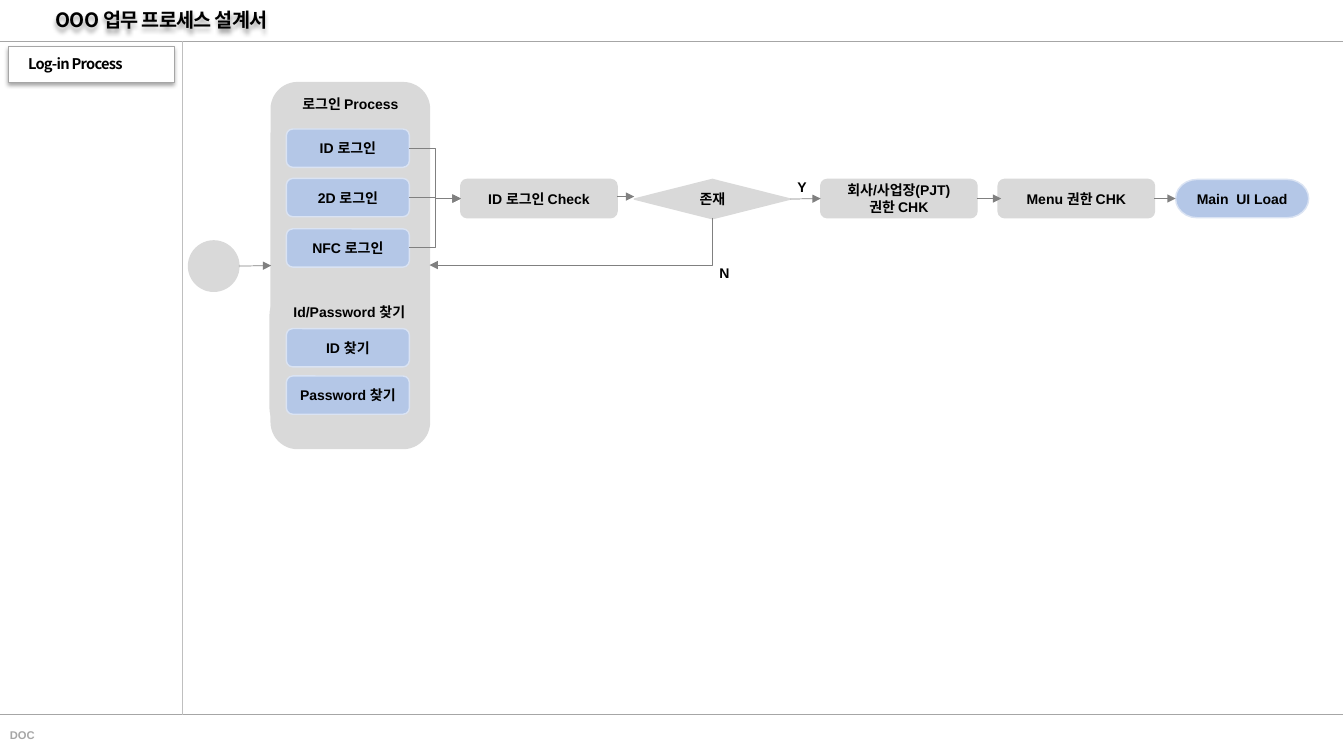
from lxml import etree
from pptx import Presentation
from pptx.dml.color import RGBColor
from pptx.enum.shapes import MSO_CONNECTOR, MSO_SHAPE
from pptx.enum.text import MSO_ANCHOR, MSO_AUTO_SIZE, PP_ALIGN
from pptx.oxml import parse_xml
from pptx.oxml.ns import nsdecls, qn
from pptx.util import Inches, Pt

STRAIGHT, ELBOW = MSO_CONNECTOR.STRAIGHT, MSO_CONNECTOR.ELBOW
ROUND, RECT, OVAL = MSO_SHAPE.ROUNDED_RECTANGLE, MSO_SHAPE.RECTANGLE, MSO_SHAPE.OVAL
DECISION, TERMINATOR = MSO_SHAPE.FLOWCHART_DECISION, MSO_SHAPE.FLOWCHART_TERMINATOR
TOP, MIDDLE = MSO_ANCHOR.TOP, MSO_ANCHOR.MIDDLE
LEFT, CENTER = PP_ALIGN.LEFT, PP_ALIGN.CENTER
LEFT_SITE, RIGHT_SITE = 1, 3

COLORS = {
    "black": "000000",
    "white": "FFFFFF",
    "step": "D9D9D9",
    "screen": "B4C7E7",
    "screen_edge": "DAE3F3",
    "flow": "808080",
    "rule": "A6A6A6",
    "divider": "BFBFBF",
}
BODY_FONT, HEADING_FONT = "Arial", "Noto Sans CJK KR"
STEP_TOP, STEP_WIDTH, NODE_HEIGHT = 1.78, 1.55, 0.38
SCREEN_LEFT, SCREEN_WIDTH = 2.84, 1.22
FLOW_Y = STEP_TOP + NODE_HEIGHT / 2


def rgb(name):
    return RGBColor.from_string(COLORS[name])


def style_para(para, size, color="black", font=BODY_FONT, align=LEFT):
    para.alignment = align
    para.font.name = font
    para.font.size = Pt(size)
    para.font.bold = True
    para.font.color.rgb = rgb(color)


def write(box, text, size=10, color="black", align=CENTER, anchor=MIDDLE, side=0):
    """Fill a box with one paragraph per line of text."""
    frame = box.text_frame
    frame.word_wrap = True
    frame.vertical_anchor = anchor
    frame.margin_left = frame.margin_right = Inches(side)
    frame.text = text
    for para in frame.paragraphs:
        style_para(para, size, color, align=align)


def write_heading(box, text, size):
    """Write tightly spaced, indented heading text and give the box a soft shadow."""
    frame = box.text_frame
    frame.word_wrap = True
    frame.auto_size = MSO_AUTO_SIZE.NONE
    frame.vertical_anchor = MIDDLE
    frame.margin_left = frame.margin_right = Inches(0.1)
    frame.margin_top = frame.margin_bottom = Inches(0.05)
    frame.text = text
    para = frame.paragraphs[0]
    style_para(para, size, font=HEADING_FONT)
    para.line_spacing = 0.9
    para.space_before = Pt(0)
    para._p.get_or_add_pPr().set("marL", str(Inches(0.1)))
    span = para.runs[0]._r.get_or_add_rPr()
    span.set("spc", "-50")
    etree.SubElement(span, qn("a:ea"), typeface=HEADING_FONT)
    box.shadow.inherit = False
    box._element.spPr.find(qn("a:effectLst")).append(parse_xml(
        f'<a:outerShdw {nsdecls("a")} blurRad="{Pt(3.1)}" dist="{Pt(1.8)}" dir="5400000"'
        ' algn="t" rotWithShape="0"><a:srgbClr val="000000"><a:alpha val="35000"/>'
        '</a:srgbClr></a:outerShdw>'))


def add_node(page, kind, left, top, width, height, fill="step", edge="step", weight=1):
    node = page.shapes.add_shape(
        kind, Inches(left), Inches(top), Inches(width), Inches(height))
    node.shadow.inherit = False
    node.fill.solid()
    node.fill.fore_color.rgb = rgb(fill)
    node.line.color.rgb = rgb(edge)
    node.line.width = Pt(weight)
    return node


def add_group(page, text, left, top, height):
    group = add_node(page, ROUND, left, top, 1.57, height)
    write(group, text, anchor=TOP)
    return group


def add_screen(page, text, top):
    screen = add_node(page, ROUND, SCREEN_LEFT, top, SCREEN_WIDTH, NODE_HEIGHT,
                      "screen", "screen_edge")
    write(screen, text)


def add_step(page, text, left, kind=ROUND, height=NODE_HEIGHT):
    step = add_node(page, kind, left, STEP_TOP, STEP_WIDTH, height)
    write(step, text)
    return step


def add_label(page, text, left, top, width, height, **style):
    label = page.shapes.add_textbox(
        Inches(left), Inches(top), Inches(width), Inches(height))
    write(label, text, **style)
    return label


def add_line(page, x1, y1, x2, y2, color="rule", kind=STRAIGHT):
    line = page.shapes.add_connector(
        kind, Inches(x1), Inches(y1), Inches(x2), Inches(y2))
    line.line.color.rgb = rgb(color)
    line.line.width = Pt(0.5)
    etree.SubElement(line._element.spPr, qn("a:effectLst"))
    return line


def add_arrow(page, x1, y1, x2, y2, kind=STRAIGHT, source=None, target=None):
    """Draw an arrow, joined to the source's right and the target's left if given."""
    arrow = add_line(page, x1, y1, x2, y2, "flow", kind)
    etree.SubElement(arrow.line._get_or_add_ln(), qn("a:tailEnd"), type="triangle")
    if source is not None:
        arrow.begin_connect(source, RIGHT_SITE)
    if target is not None:
        arrow.end_connect(target, LEFT_SITE)
    return arrow


def add_frame(page):
    title = page.shapes.title
    title.left, title.top = Inches(0.35), Inches(0.03)
    title.width, title.height = Inches(8.71), Inches(0.36)
    write_heading(title, "OOO 업무 프로세스 설계서", 14)
    for y in (0.41, 7.09):
        add_line(page, 0, y, 13.32, y)
    add_line(page, 1.81, 7.09, 1.81, 0.41, "divider")
    footer = add_label(page, "DOC", 0, 7.15, 3.14, 0.25, size=8, color="rule",
                       align=LEFT, anchor=TOP, side=0.1)
    footer.text_frame.paragraphs[0].line_spacing = 1.2
    tab = add_node(page, RECT, 0.08, 0.46, 1.65, 0.36, "white", "rule", 0.25)
    write_heading(tab, "Log-in Process", 10.5)


def add_flow(page):
    add_node(page, OVAL, 1.87, 2.39, 0.5, 0.5)
    login = add_group(page, "로그인 Process", 2.69, 0.82, 3.63)
    add_group(page, "Id/Password 찾기", 2.68, 2.89, 1.39)
    for text, top in (("ID 로그인", 1.28), ("2D 로그인", 1.77), ("NFC 로그인", 2.27),
                      ("ID 찾기", 3.26), ("Password 찾기", 3.73)):
        add_screen(page, text, top)

    add_step(page, "ID 로그인 Check", 4.57)
    exists = add_step(page, "존재", 6.29, DECISION, 0.39)
    company = add_step(page, "회사/사업장(PJT)\n권한 CHK", 8.14)
    menu = add_step(page, "Menu 권한 CHK", 9.9)
    main_ui = add_node(page, TERMINATOR, 11.66, STEP_TOP, 1.32, NODE_HEIGHT,
                       "screen", "screen_edge")
    write(main_ui, "Main  UI Load")
    for text, left, top in (("N", 6.95, 2.52), ("Y", 7.72, 1.66)):
        add_label(page, text, left, top, 0.47, NODE_HEIGHT)

    add_arrow(page, 2.37, 2.64, 2.69, 2.63, target=login)
    for y in (1.96, 2.45, 1.47):
        add_arrow(page, SCREEN_LEFT + SCREEN_WIDTH, y, 4.57, FLOW_Y, ELBOW)
    add_arrow(page, 6.12, 1.95, 6.29, 1.95)
    add_arrow(page, 7.84, FLOW_Y, 8.14, FLOW_Y, source=exists, target=company)
    add_arrow(page, 9.69, FLOW_Y, 9.93, FLOW_Y, source=company)
    add_arrow(page, 11.45, FLOW_Y, 11.66, FLOW_Y, source=menu, target=main_ui)

    # A single-corner elbow turned a quarter: down from the decision, then left.
    retry = add_arrow(page, 5.43, 0.99, 5.9, 3.8, ELBOW)._element.spPr
    retry.find(qn("a:prstGeom")).set("prst", "bentConnector2")
    retry.find(qn("a:xfrm")).set("rot", "5400000")


def main():
    deck = Presentation()
    deck.slide_width, deck.slide_height = Inches(13.33), Inches(7.5)
    page = deck.slides.add_slide(deck.slide_layouts[5])
    add_frame(page)
    add_flow(page)
    deck.save("out.pptx")


if __name__ == "__main__":
    main()
